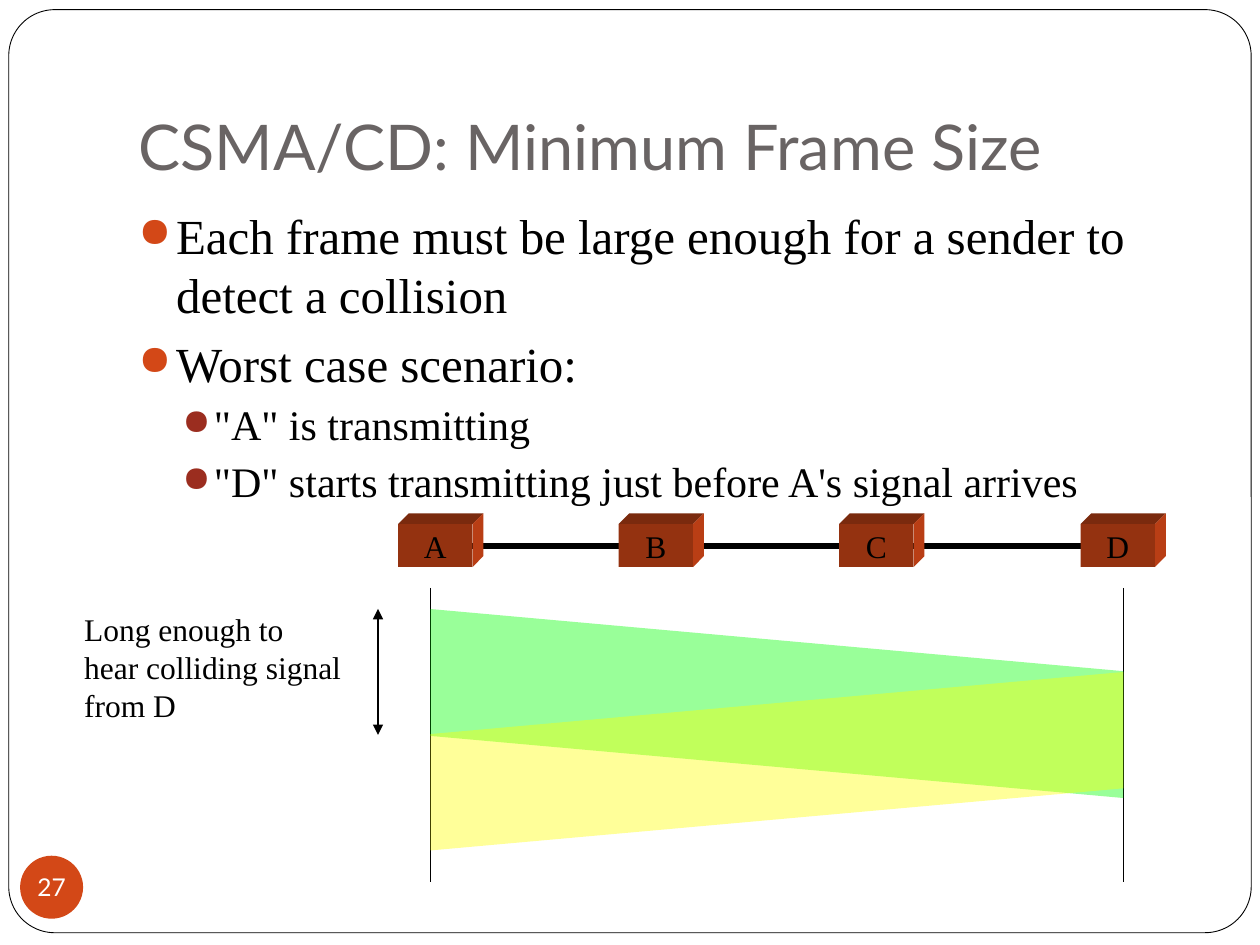
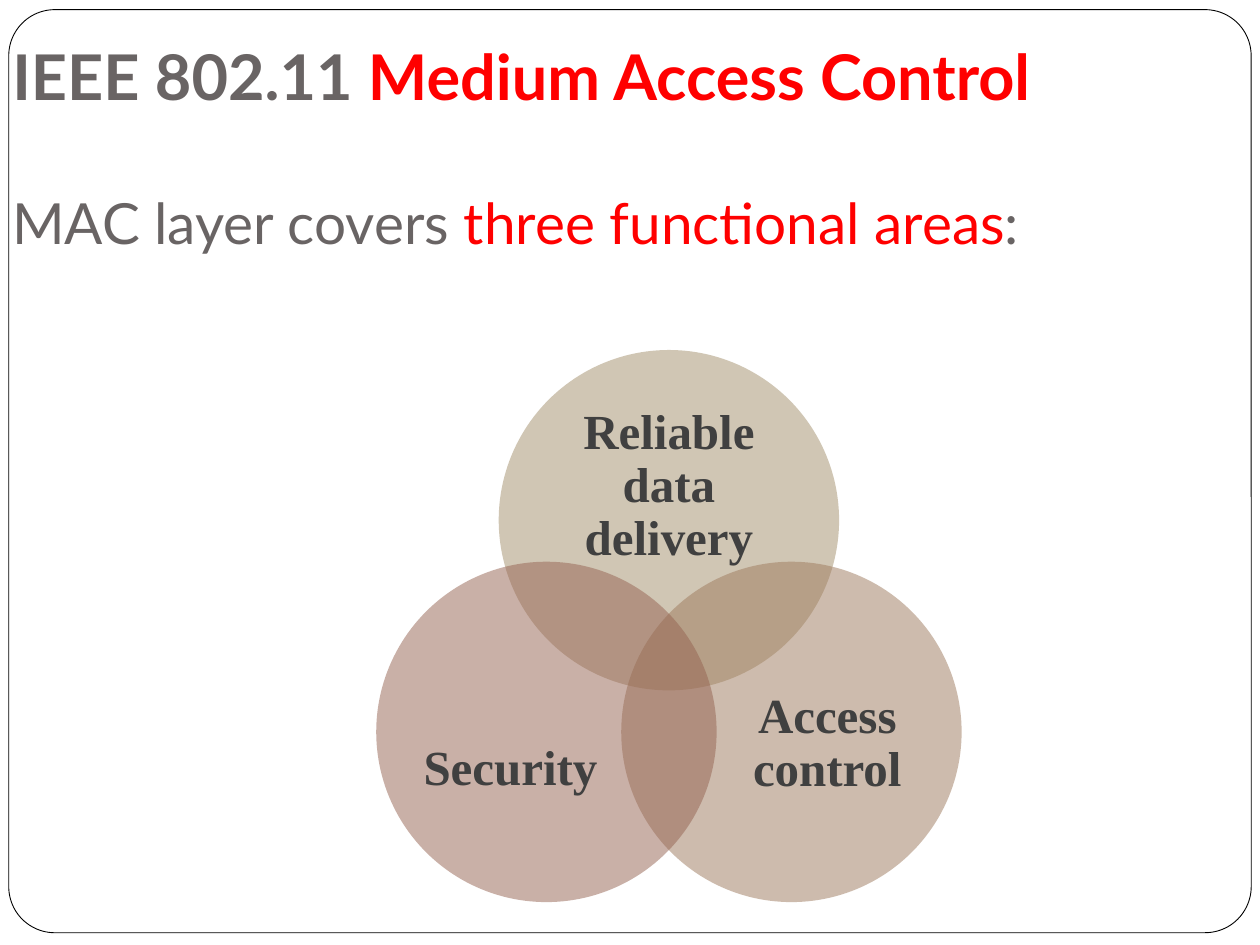
import lxml.etree
import pptx
import pptx.dml.color
import pptx.enum.shapes
import pptx.enum.text
import pptx.oxml.ns
import pptx.util

Pt = pptx.util.Pt
SHAPE = pptx.enum.shapes.MSO_SHAPE
ALIGN = pptx.enum.text.PP_ALIGN
ANCHOR = pptx.enum.text.MSO_ANCHOR
qn = pptx.oxml.ns.qn


def color(value):
    return pptx.dml.color.RGBColor.from_string(value)


def add_xml(parent, tag, **attrs):
    return lxml.etree.SubElement(parent, qn(tag), attrs)


class Deck:
    HEAD, BODY = "Lato", "Times New Roman"
    BLACK, WHITE, GREY, RED = "000000", "FFFFFF", "696464", "FF0000"
    ORANGE, RUST = "D34817", "9B2D1F"

    def __init__(self):
        self.prs = pptx.Presentation()
        self.prs.slide_width, self.prs.slide_height = Pt(720), Pt(540)

    def slide(self):
        self.s = self.prs.slides.add_slide(self.prs.slide_layouts[6])
        frame = self.shape(SHAPE.ROUNDED_RECTANGLE, 5, 5.5, 710, 527.5, self.WHITE)
        frame.adjustments[0] = 0.05
        frame.line.color.rgb = color(self.BLACK)
        frame.line.width = Pt(0.5)

    def paint(self, sp, fill, alpha=100):
        sp.shadow.inherit = False
        sp.fill.solid()
        sp.fill.fore_color.rgb = color(fill)
        sp.line.fill.background()
        if alpha < 100:
            srgb = sp.element.spPr.find(qn("a:solidFill")).find(qn("a:srgbClr"))
            add_xml(srgb, "a:alpha", val=str(alpha * 1000))
        return sp

    def shape(self, kind, x, y, w, h, fill, alpha=100):
        sp = self.s.shapes.add_shape(kind, Pt(x), Pt(y), Pt(w), Pt(h))
        return self.paint(sp, fill, alpha)

    def polygon(self, points, fill):
        points = [(Pt(x), Pt(y)) for x, y in points]
        builder = self.s.shapes.build_freeform(*points[0])
        builder.add_line_segments(points[1:])
        return self.paint(builder.convert_to_shape(), fill)

    def line(self, x1, y1, x2, y2, width=0.75, arrows=False):
        sp = self.s.shapes.add_connector(
            pptx.enum.shapes.MSO_CONNECTOR.STRAIGHT, Pt(x1), Pt(y1), Pt(x2), Pt(y2))
        sp.line.color.rgb = color(self.BLACK)
        sp.line.width = Pt(width)
        if arrows:
            ln = sp.element.spPr.find(qn("a:ln"))
            add_xml(ln, "a:headEnd", type="triangle")
            add_xml(ln, "a:tailEnd", type="triangle")
        add_xml(sp.element.spPr, "a:effectLst")

    def font(self, r, size, name, ink, bold=False):
        r.font.size, r.font.name, r.font.bold = Pt(size), name, bold
        r.font.color.rgb = color(ink)

    def label(self, sp, lines, size, name, ink, bold=False, align=ALIGN.LEFT,
              anchor=ANCHOR.TOP, wrap=True, margins=(7.2, 3.6, 7.2, 3.6)):
        tf = sp.text_frame
        tf.text = "\n".join(lines)
        tf.word_wrap, tf.vertical_anchor = wrap, anchor
        tf.margin_left, tf.margin_top, tf.margin_right, tf.margin_bottom = map(Pt, margins)
        for p in tf.paragraphs:
            p.alignment = align
            for r in p.runs:
                self.font(r, size, name, ink, bold)
        return tf

    def text(self, x, y, w, h, lines, size, name=BODY, ink=BLACK, **layout):
        sp = self.s.shapes.add_textbox(Pt(x), Pt(y), Pt(w), Pt(h))
        return self.label(sp, lines, size, name, ink, **layout)

    def add_runs(self, p, size, bold, *parts):
        for text, ink in parts:
            r = p.add_run()
            r.text = text
            self.font(r, size, self.HEAD, ink, bold)

    def bullets(self, x, y, w, h, items):
        levels = [(28, 21.6, 21.6, 5.8, self.ORANGE), (24, 43.2, 18, 3.7, self.RUST)]
        tf = self.text(x, y, w, h, [text for _, text in items], 28)
        for p, (level, _) in zip(tf.paragraphs, items):
            size, left, hang, before, ink = levels[level]
            p.level, p.space_before = level, Pt(before)
            p.runs[0].font.size = Pt(size)
            pPr = p._p.get_or_add_pPr()
            pPr.set("marL", str(Pt(left)))
            pPr.set("indent", str(-Pt(hang)))
            add_xml(add_xml(pPr, "a:buClr"), "a:srgbClr", val=ink)
            add_xml(pPr, "a:buSzPct", val="85000")
            add_xml(pPr, "a:buChar", char="●")

    def page_number(self, number):
        sp = self.shape(SHAPE.OVAL, 11.5, 489, 36, 36, self.ORANGE)
        self.label(sp, [number], 14, self.HEAD, self.WHITE, align=ALIGN.CENTER,
                   anchor=ANCHOR.MIDDLE, wrap=False, margins=(0, 0, 0, 0))

    def station(self, x, y, name):
        w, h, d = 42.5, 24.5, 6.2
        self.polygon([(x, y), (x + d, y - d), (x + w + d, y - d), (x + w, y)], "7A2A0E")
        self.polygon([(x + w, y), (x + w + d, y - d), (x + w + d, y + h - d),
                      (x + w, y + h)], "B93E15")
        front = self.shape(SHAPE.RECTANGLE, x, y, w, h, "943210")
        self.label(front, [name], 18, self.BODY, self.BLACK, align=ALIGN.CENTER,
                   anchor=ANCHOR.MIDDLE, wrap=False)

    def signal(self, y, duration, fill, rising):
        span, left, delay = 396, 246, 35.5
        height = duration + delay
        sp = self.shape(SHAPE.PARALLELOGRAM, left + (span - height) / 2,
                        y + (height - span) / 2, height, span, fill, 40)
        sp.adjustments[0] = delay / height
        sp.rotation = 90 if rising else 270
        if rising:
            sp.element.spPr.get_or_add_xfrm().set("flipV", "1")


def frame_size_slide(deck):
    deck.slide()
    deck.text(72, 21.6, 612, 90, ["CSMA/CD: Minimum Frame Size"], 36, deck.HEAD,
              deck.GREY, anchor=ANCHOR.BOTTOM, margins=(7.2, 3.6, 7.2, 7.2))
    deck.page_number("27")
    deck.bullets(72, 114, 612, 360, [
        (0, "Each frame must be large enough for a sender to detect a collision"),
        (0, "Worst case scenario:"),
        (1, '"A" is transmitting'),
        (1, '"D" starts transmitting just before A\'s signal arrives')])
    deck.line(252, 312, 642, 312, 3)
    for name, x in zip("ABCD", (227.5, 353.5, 479.5, 617.5)):
        deck.station(x, 299.5, name)
    for x in (246, 642):
        deck.line(x, 336, x, 504)
    deck.signal(348, 72.5, "00FF00", False)
    deck.signal(384, 66.5, "FFFF00", True)
    deck.line(216, 348, 216, 420, arrows=True)
    deck.text(41, 345, 171, 72, ["Long enough to", "hear colliding signal", "from D"],
              18, wrap=False)


def functional_areas_slide(deck):
    deck.slide()
    tf = deck.text(0, 18, 720, 108, [], 36)
    deck.add_runs(tf.paragraphs[0], 36, True,
                  ("IEEE 802.11 ", deck.GREY), ("Medium Access Control", deck.RED))
    p = tf.add_paragraph()
    p.space_before = Pt(42.5)
    deck.add_runs(p, 32.4, False, ("MAC layer covers ", deck.GREY),
                  ("three functional areas", deck.RED), (":", deck.GREY))
    areas = [
        ("Reliable data delivery", "A28E6A", (285, 200), (311, 234, 142.5, 88)),
        ("Access control", "9D795C", (355, 321), (414.5, 371.5, 116.5, 107)),
        ("Security", "956251", (215, 321), (233.5, 386.5, 116.5, 107))]
    for name, fill, (x, y), box in areas:
        deck.shape(SHAPE.OVAL, x, y, 194.5, 194.5, fill, 50)
        tf = deck.text(*box, [name], 28, ink="404040", bold=True, align=ALIGN.CENTER,
                       anchor=ANCHOR.MIDDLE, margins=(0, 0, 0, 0))
        tf.paragraphs[0].line_spacing = 0.9


def main():
    deck = Deck()
    frame_size_slide(deck)
    functional_areas_slide(deck)
    deck.prs.save("out.pptx")


if __name__ == "__main__":
    main()
